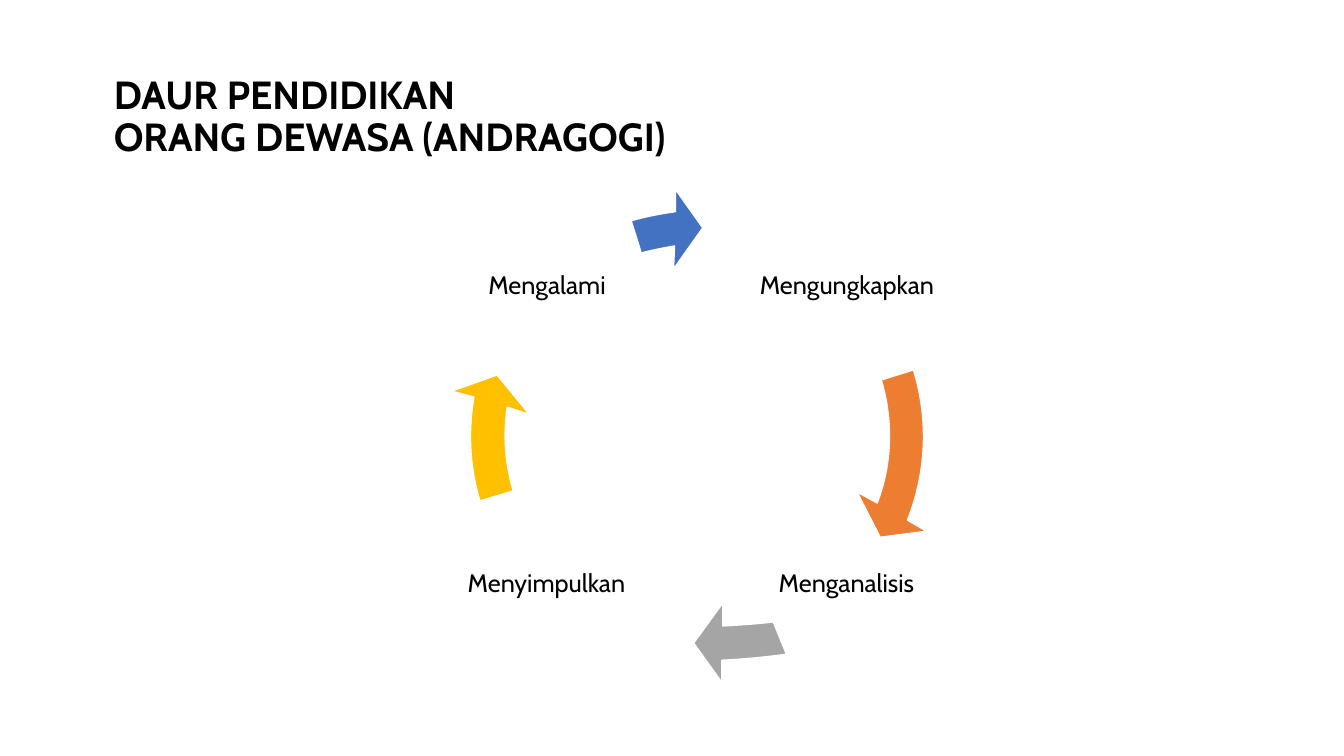
from dataclasses import dataclass

import lxml.etree
import pptx
import pptx.dml.color
import pptx.enum.text
import pptx.oxml.ns
import pptx.slide
import pptx.util

Point = tuple[float, float]
Box = tuple[float, float, float, float]
Curve = tuple[Point, Point, Point, Point]
Inches = pptx.util.Inches
PP_ALIGN = pptx.enum.text.PP_ALIGN
MSO_ANCHOR = pptx.enum.text.MSO_ANCHOR
MSO_AUTO_SIZE = pptx.enum.text.MSO_AUTO_SIZE

RING: Box = (4.44, 1.87, 4.95, 4.91)
WIDE_RING: Box = (2.71, 1.87, 8.41, 4.91)


@dataclass
class Stage:
    text: str
    box: Box


@dataclass
class CycleArrow:
    """A curved band: outer edge, arrowhead corners, inner edge back."""
    fill: str
    frame: Box
    outer: Curve
    head: tuple[Point, Point, Point]
    inner: Curve


STAGES = [
    Stage("Mengungkapkan", (6.97, 1.97, 2.86, 1.74)),
    Stage("Menganalisis", (7.32, 5.34, 2.15, 0.92)),
    Stage("Menyimpulkan", (3.96, 4.93, 2.92, 1.74)),
    Stage("Mengalami", (4.55, 1.97, 1.75, 1.74)),
]

ARROWS = [
    CycleArrow("ED7D31", RING,
               ((9.06, 3.67), (9.21, 4.16), (9.19, 4.68), (9.0, 5.16)),
               ((9.19, 5.27), (8.73, 5.33), (8.5, 4.88)),
               ((8.7, 4.99), (8.85, 4.6), (8.86, 4.17), (8.74, 3.77))),
    CycleArrow("A5A5A5", WIDE_RING,
               ((7.8, 6.49), (7.59, 6.52), (7.38, 6.54), (7.16, 6.55)),
               ((7.16, 6.77), (6.88, 6.38), (7.17, 5.98)),
               ((7.17, 6.21), (7.34, 6.2), (7.51, 6.19), (7.67, 6.17))),
    CycleArrow("FFC000", RING,
               ((4.76, 4.97), (4.66, 4.64), (4.64, 4.29), (4.7, 3.94)),
               ((4.48, 3.88), (4.93, 3.72), (5.25, 4.11)),
               ((5.03, 4.04), (4.99, 4.32), (5.01, 4.6), (5.09, 4.87))),
    CycleArrow("4372C3", RING,
               ((6.26, 2.19), (6.4, 2.15), (6.55, 2.12), (6.7, 2.1)),
               ((6.7, 1.88), (6.97, 2.26), (6.68, 2.67)),
               ((6.69, 2.44), (6.58, 2.46), (6.47, 2.48), (6.36, 2.51))),
]


def color(value: str) -> pptx.dml.color.RGBColor:
    return pptx.dml.color.RGBColor.from_string(value)


def add_text(slide: pptx.slide.Slide, text: str, box: Box, *, size: float,
             bold: bool = False, align: PP_ALIGN = PP_ALIGN.LEFT,
             anchor: MSO_ANCHOR = MSO_ANCHOR.TOP,
             margins: Point = (0.1, 0.05),
             auto_size: MSO_AUTO_SIZE = MSO_AUTO_SIZE.NONE) -> None:
    shape = slide.shapes.add_textbox(*map(Inches, box))
    frame = shape.text_frame
    frame.word_wrap = True
    frame.auto_size = auto_size
    frame.vertical_anchor = anchor
    frame.margin_left = frame.margin_right = Inches(margins[0])
    frame.margin_top = frame.margin_bottom = Inches(margins[1])
    frame.text = text
    for paragraph in frame.paragraphs:
        paragraph.alignment = align
        paragraph.line_spacing = 0.89
        for run in paragraph.runs:
            run.font.name = "Cabin"
            run.font.size = pptx.util.Pt(size)
            run.font.bold = bold
            run.font.color.rgb = color("000000")


def add_arrow(slide: pptx.slide.Slide, arrow: CycleArrow) -> None:
    left, top, width, height = map(Inches, arrow.frame)
    right, bottom = left + width, top + height

    # The frame fixes the place and size of the freeform
    builder = slide.shapes.build_freeform(left, top)
    builder.add_line_segments([(right, top), (right, bottom), (left, bottom)])
    shape = builder.convert_to_shape()

    # The outline inside it has true Bezier curves
    outline = shape.element.xpath(".//a:path")[0]
    for child in list(outline):
        outline.remove(child)

    def draw(command: str, *points: Point) -> None:
        segment = lxml.etree.SubElement(outline, pptx.oxml.ns.qn(f"a:{command}"))
        for x, y in points:
            lxml.etree.SubElement(segment, pptx.oxml.ns.qn("a:pt"),
                                  x=str(Inches(x) - left), y=str(Inches(y) - top))

    draw("moveTo", arrow.outer[0])
    draw("cubicBezTo", *arrow.outer[1:])
    for corner in (*arrow.head, arrow.inner[0]):
        draw("lnTo", corner)
    draw("cubicBezTo", *arrow.inner[1:])
    draw("close")

    shape.shadow.inherit = False
    shape.fill.solid()
    shape.fill.fore_color.rgb = color(arrow.fill)
    shape.line.color.rgb = color("FFFFFF")
    shape.line.width = pptx.util.Pt(1)


def main() -> None:
    presentation = pptx.Presentation()
    presentation.slide_width = Inches(13.33)
    presentation.slide_height = Inches(7.5)
    slide = presentation.slides.add_slide(presentation.slide_layouts[6])

    # Cycle: each stage with the arrow that goes with it
    for stage, arrow in zip(STAGES, ARROWS):
        add_text(slide, stage.text, stage.box, size=18, align=PP_ALIGN.CENTER,
                 anchor=MSO_ANCHOR.MIDDLE, margins=(0.02, 0.02))
        add_arrow(slide, arrow)

    # Title
    add_text(slide, "DAUR PENDIDIKAN\nORANG DEWASA (ANDRAGOGI)",
             (1.03, 0.71, 6.45, 0.94), size=28, bold=True,
             auto_size=MSO_AUTO_SIZE.SHAPE_TO_FIT_TEXT)

    presentation.save("out.pptx")


if __name__ == "__main__":
    main()
